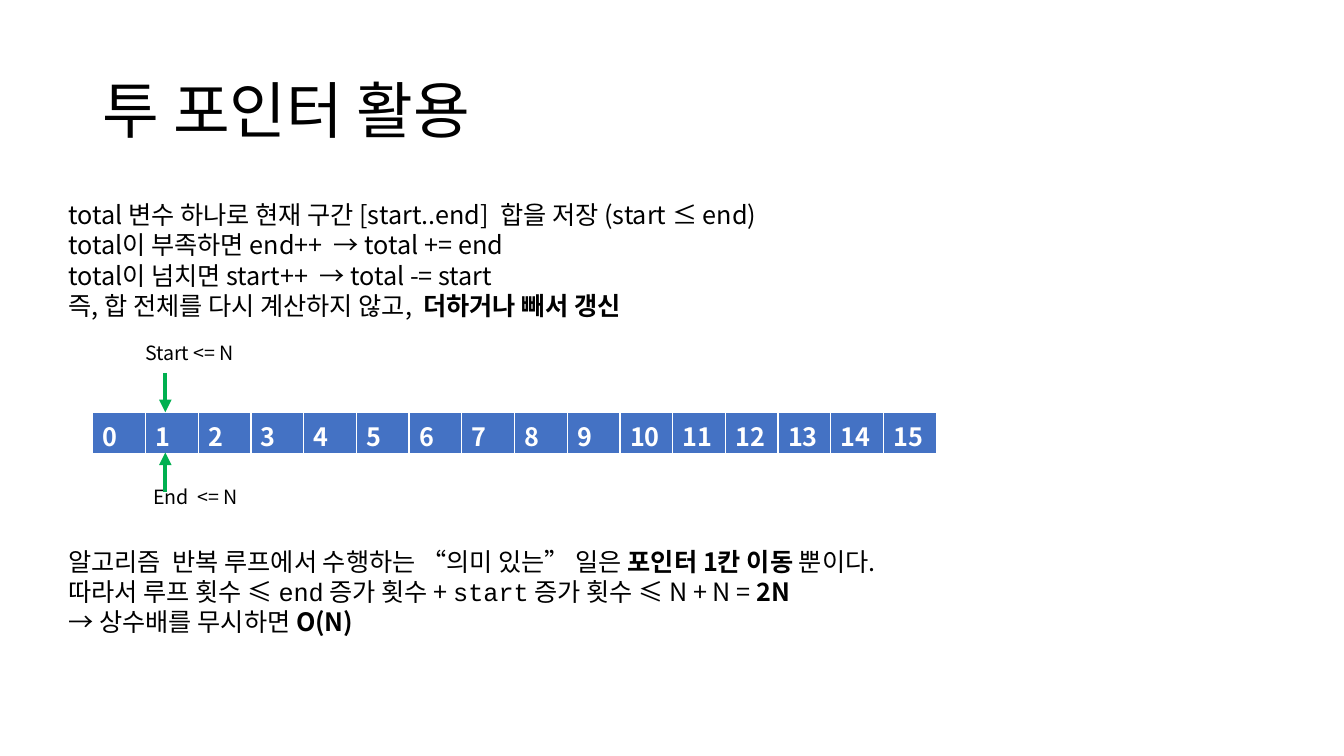
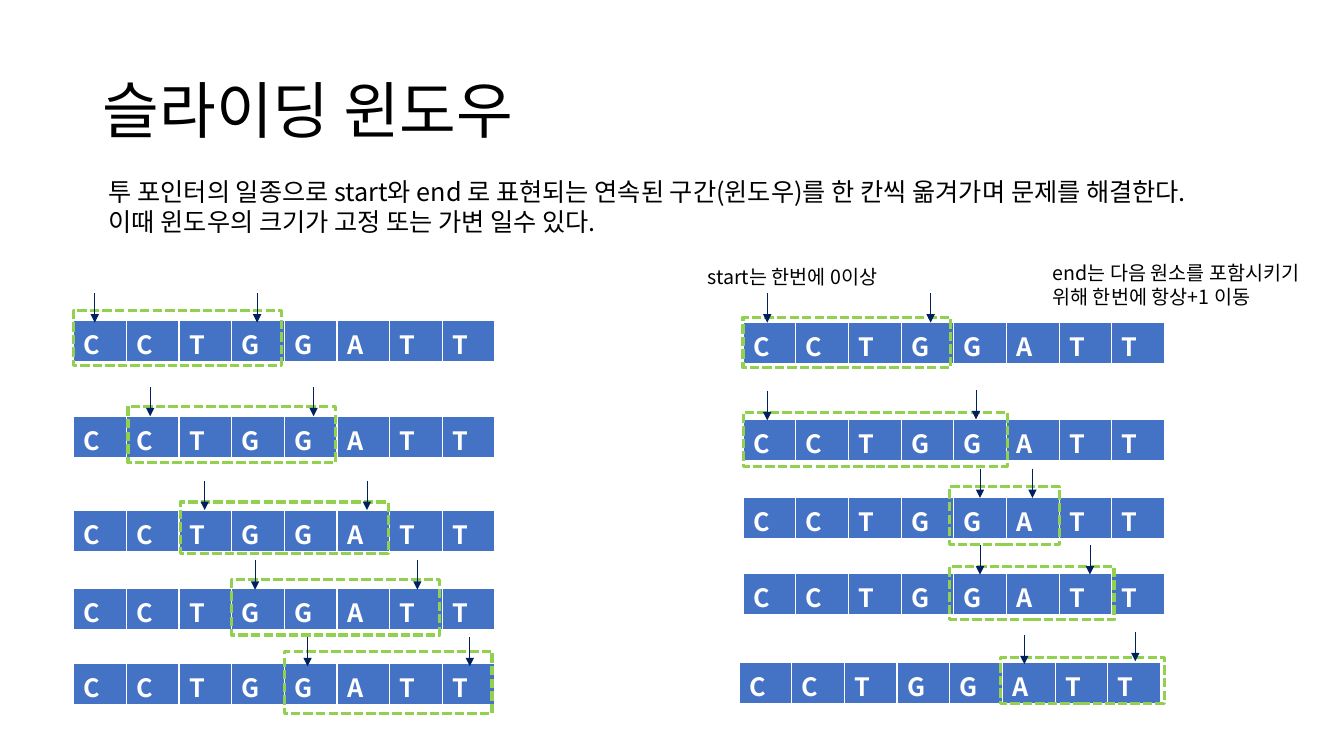
from lxml.etree import SubElement
from pptx import Presentation
from pptx.dml.color import RGBColor
from pptx.enum.dml import MSO_LINE
from pptx.enum.shapes import MSO_CONNECTOR as CONN, MSO_SHAPE as SHAPE
from pptx.enum.text import MSO_ANCHOR as ANCHOR
from pptx.oxml.ns import qn
from pptx.util import Emu, Pt

# Shared style; 100 px make one inch
SCALE = 9144
SANS, MONO = "Noto Sans CJK KR", "Courier New"
COLORS = {"text": "000000", "cell": "4472C4", "cell_text": "FFFFFF",
          "pointer": "00B050", "marker": "002060", "window": "92D050"}
TITLE = {"size": Pt(44)}
BODY = {"size": Pt(18)}
LABEL = {"size": Pt(14)}
BOLD = {"bold": True}
CODE = {"name": MONO}
SEQUENCE = "CCTGGATT"

# Slide 1 text: paragraphs of (text, format) runs
RULES = [
    [("total 변수 하나로 현재 구간 [start..end]  합을 저장 (start ≤ end)", {})],
    [("total이 부족하면 end++  → total += end", {})],
    [("total이 넘치면 start++  → total -= start", {})],
    [("즉, 합 전체를 다시 계산하지 않고, ", {}), (" 더하거나 빼서 갱신", BOLD)],
]
COST = [
    [("알고리즘  반복 루프에서 수행하는 “의미 있는” 일은 ", {}),
     ("포인터 1칸 이동 ", BOLD), ("뿐이다.", {})],
    [("따라서 루프 횟수 ≤ ", {}), ("end", CODE), (" 증가 횟수 + ", {}),
     ("start", CODE), (" 증가 횟수 ≤ N + N = ", {}), ("2N", BOLD)],
    [("→ 상수배를 무시하면 ", {}), ("O(N)", BOLD)],
]

# Slide 2 steps: table corner, window box, marker tops, bottom cell margin
STEPS = [
    ((73, 318), (73, 308, 206, 55), [(94, 291), (255, 291)], 5),
    ((737, 320), (737, 315, 206, 50), [(761, 291), (923, 291)], 0),
    ((73, 413), (127, 403, 206, 56), [(149, 384), (311, 384)], 0),
    ((73, 506), (179, 498, 206, 51), [(203, 477), (364, 477)], 0),
    ((73, 584), (230, 575, 206, 55), [(253, 556), (414, 556)], 0),
    ((73, 658), (282, 646, 206, 62), [(305, 632), (466, 632)], 0),
    ((737, 416), (737, 409, 262, 54), [(761, 388), (968, 387)], 0),
    ((737, 493), (942, 483, 109, 57), [(972, 465), (1024, 465)], 0),
    ((737, 569), (942, 562, 163, 53), [(972, 541), (1081, 541)], 0),
    ((733, 657), (992, 652, 163, 46), [(1016, 630), (1126, 627)], 0),
]


def px(*lengths):
    return [Emu(n * SCALE) for n in lengths]


def rgb(key):
    return RGBColor.from_string(COLORS[key])


def add_run(p, text, fmt, color="text"):
    r = p.add_run()
    r.text = text
    for name, value in {"name": SANS, **fmt}.items():
        setattr(r.font, name, value)
    r.font.color.rgb = rgb(color)
    SubElement(r._r.get_or_add_rPr(), qn("a:ea")).set("typeface", SANS)


def add_text(slide, box, paragraphs, fmt):
    tf = slide.shapes.add_textbox(*px(*box)).text_frame
    tf.word_wrap = True
    for i, runs in enumerate(paragraphs):
        p = tf.add_paragraph() if i else tf.paragraphs[0]
        for text, extra in runs:
            add_run(p, text, {**fmt, **extra})
    return tf


def add_slide(prs, title):
    slide = prs.slides.add_slide(prs.slide_layouts[6])
    tf = add_text(slide, (92, 40, 1150, 145), [[(title, {})]], TITLE)
    tf.vertical_anchor = ANCHOR.MIDDLE
    tf.paragraphs[0].line_spacing = 0.9
    return slide


def add_array(slide, corner, width, values, bottom_margin=5):
    """One-row table; the default table style supplies the white borders."""
    box = px(*corner, width, 41)
    table = slide.shapes.add_table(1, len(values), *box).table
    for i, value in enumerate(values):
        table.columns[i].width = Emu(box[2] // len(values))
        cell = table.cell(0, i)
        cell.margin_bottom, = px(bottom_margin)
        cell.fill.solid()
        cell.fill.fore_color.rgb = rgb("cell")
        add_run(cell.text_frame.paragraphs[0], str(value), {**BODY, **BOLD}, "cell_text")


def add_arrow(slide, x, y1, y2, color, weight):
    line = slide.shapes.add_connector(CONN.STRAIGHT, *px(x, y1, x, y2))
    line.line.color.rgb = rgb(color)
    line.line.width = Pt(weight)
    SubElement(line.line._get_or_add_ln(), qn("a:tailEnd")).set("type", "triangle")
    SubElement(line._element.spPr, qn("a:effectLst"))


def add_window(slide, box):
    sp = slide.shapes.add_shape(SHAPE.RECTANGLE, *px(*box))
    sp.shadow.inherit = False
    sp.fill.background()
    sp.line.color.rgb = rgb("window")
    sp.line.width = Pt(2.25)
    sp.line.dash_style = MSO_LINE.SQUARE_DOT


def two_pointers(prs):
    slide = add_slide(prs, "투 포인터 활용")
    add_array(slide, (92, 409), 837, range(16))
    add_text(slide, (134, 333, 118, 34), [[("Start <= N", {})]], LABEL)
    add_text(slide, (142, 476, 116, 34), [[("End  <= N", {})]], LABEL)
    for y1, y2 in ((488, 449), (370, 409)):
        add_arrow(slide, 164, y1, y2, "pointer", 3)
    add_text(slide, (58, 193, 1184, 131), RULES, BODY)
    add_text(slide, (58, 537, 1201, 101), COST, BODY)


def sliding_window(prs):
    slide = add_slide(prs, "슬라이딩 윈도우")
    add_text(slide, (98, 170, 1220, 71), [
        [("투 포인터의 일종으로 start와 end 로 표현되는 연속된 구간(윈도우)를 "
          "한 칸씩 옮겨가며 문제를 해결한다.", {})],
        [("이때 윈도우의 크기가 고정 또는 가변 일수 있다.", {})]], BODY)
    add_text(slide, (1034, 254, 288, 57),
             [[("end는 다음 원소를 포함시키기 위해 한번에 항상+1 이동", {})]], LABEL)
    add_text(slide, (692, 258, 280, 34), [[("start는 한번에 0이상", {})]], LABEL)
    for corner, window, markers, margin in STEPS:
        add_array(slide, corner, 418, SEQUENCE, margin)
        add_window(slide, window)
        for x, y in markers:
            add_arrow(slide, x, y, y + 29, "marker", 0.5)


def main():
    prs = Presentation()
    prs.slide_width, prs.slide_height = px(1333, 750)
    two_pointers(prs)
    sliding_window(prs)
    prs.save("out.pptx")


if __name__ == "__main__":
    main()
